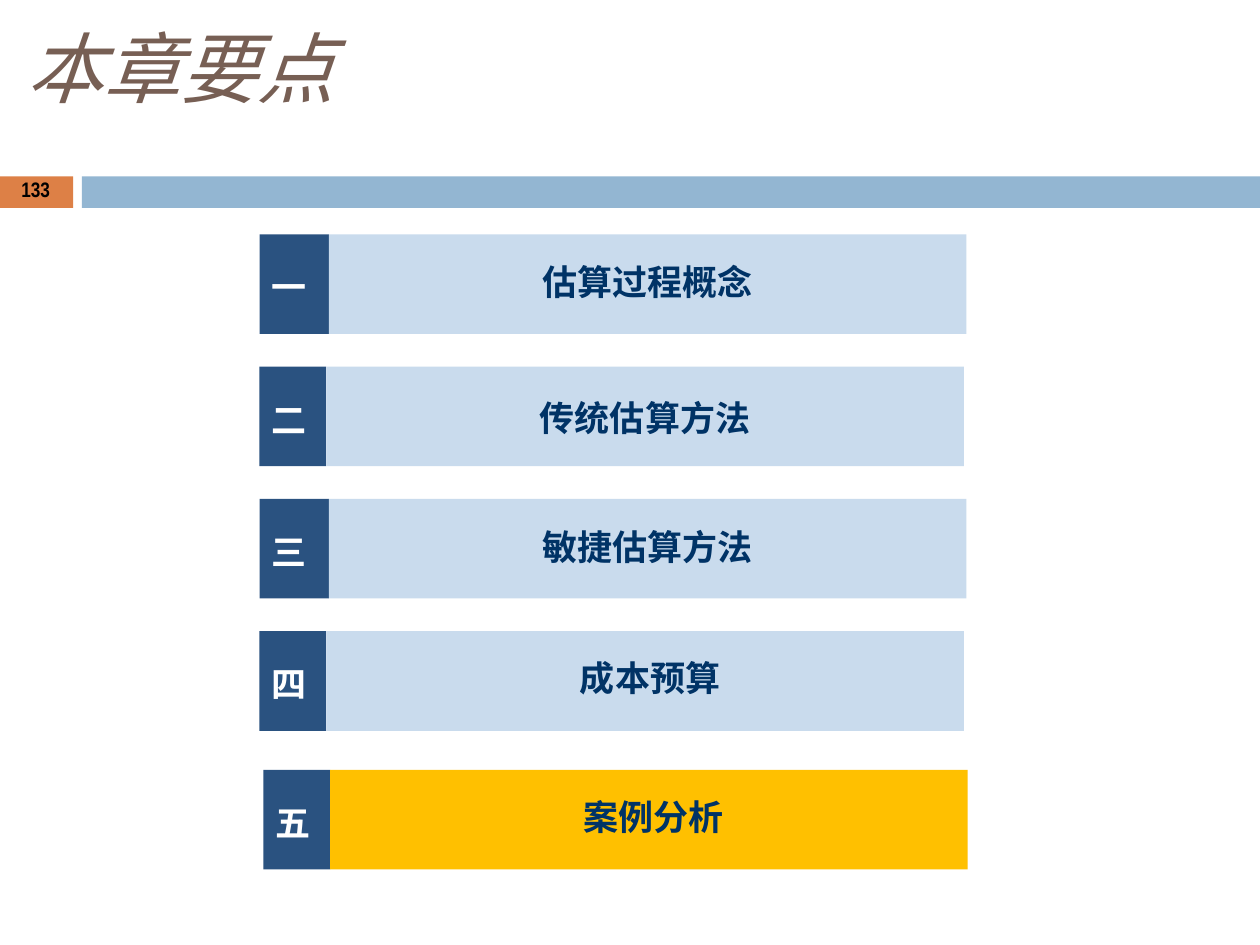
import pptx
import pptx.util
import pptx.dml.color
import pptx.enum.shapes
import pptx.enum.text
import lxml.etree

COLORS = {"orange": "DD8046", "band": "93B6D2", "title": "775F54", "black": "000000",
          "navy": "2A5280", "pale": "C9DBED", "gold": "FFC000", "text": "003366", "white": "FFFFFF"}
CJK = "Noto Sans CJK SC"
TITLE = "本章要点"
PAGE = "133"
CHAPTERS = [("一", "估算过程概念", "pale", 0.21, 0),
            ("二", "传统估算方法", "pale", 0.24, 0),
            ("三", "敏捷估算方法", "pale", 0.21, 0),
            ("四", "成本预算", "pale", 0.2, 0.08),
            ("五", "案例分析", "gold", 0.2, 0.08)]
LEFT, TOP, PITCH, HEIGHT = 2.06, 1.86, 1.05, 0.79
NUMBER_W, LABEL_W, NUDGE, LAST_DROP = 0.53, 5.06, 0.02, 0.05
NUMBER_INSET, NUMBER_INDENT = 0.25, 0.1

prs = pptx.Presentation()
prs.slide_width = pptx.util.Inches(10)
prs.slide_height = pptx.util.Inches(7.5)
s = prs.slides.add_slide(prs.slide_layouts[5])


def rgb(name):
    return pptx.dml.color.RGBColor.from_string(COLORS[name])


def place(sp, *box):
    sp.left, sp.top, sp.width, sp.height = map(pptx.util.Inches, box)


def write(sp, text, size, color, font=CJK, bold=False, italic=False,
          center=False, top=0.01, indent=0.01):
    tf = sp.text_frame
    tf.word_wrap = True
    tf.auto_size = pptx.enum.text.MSO_AUTO_SIZE.NONE
    tf.vertical_anchor = pptx.enum.text.MSO_ANCHOR.TOP
    tf.margin_left = pptx.util.Inches(indent)
    tf.margin_right = tf.margin_bottom = 0
    tf.margin_top = pptx.util.Inches(top)
    p = tf.paragraphs[0]
    p.text = text
    align = pptx.enum.text.PP_ALIGN
    p.alignment = align.CENTER if center else align.LEFT
    p.font.name = font
    p.font.size = pptx.util.Pt(size)
    p.font.bold = bold
    p.font.italic = italic
    p.font.color.rgb = rgb(color)
    props = p.font._element
    lxml.etree.SubElement(props, pptx.oxml.ns.qn("a:ea"), typeface=font)


def add_rect(fill, *box):
    sp = s.shapes.add_shape(pptx.enum.shapes.MSO_SHAPE.RECTANGLE, 0, 0, 0, 0)
    place(sp, *box)
    sp.shadow.inherit = False
    sp.fill.solid()
    sp.fill.fore_color.rgb = rgb(fill)
    sp.line.fill.background()
    return sp


add_rect("orange", 0, 1.4, 0.58, 0.25)
add_rect("band", 0.65, 1.4, 9.35, 0.25)

title = s.shapes.title
place(title, 0.2, 0.15, 2.6, 0.76)
write(title, TITLE, 44, "title", italic=True)

page = s.shapes.add_textbox(0, 0, 0, 0)
place(page, 0.16, 1.39, 0.3, 0.23)
write(page, PAGE, 12, "black", font="Arial Narrow", bold=True)

for i, (number, label, fill, inset, indent) in enumerate(CHAPTERS):
    last = i == len(CHAPTERS) - 1
    x = LEFT + (0.03 if last else 0)
    y = TOP + i * PITCH + (LAST_DROP if last else 0)
    width = NUMBER_W + (NUDGE if i % 2 == 0 and not last else 0)
    write(add_rect("navy", x, y, width, HEIGHT), number, 20, "white",
          bold=True, top=NUMBER_INSET, indent=NUMBER_INDENT)
    write(add_rect(fill, x + width, y, LABEL_W, HEIGHT), label, 20, "text",
          bold=True, center=True, top=inset, indent=indent)

prs.save("out.pptx")
